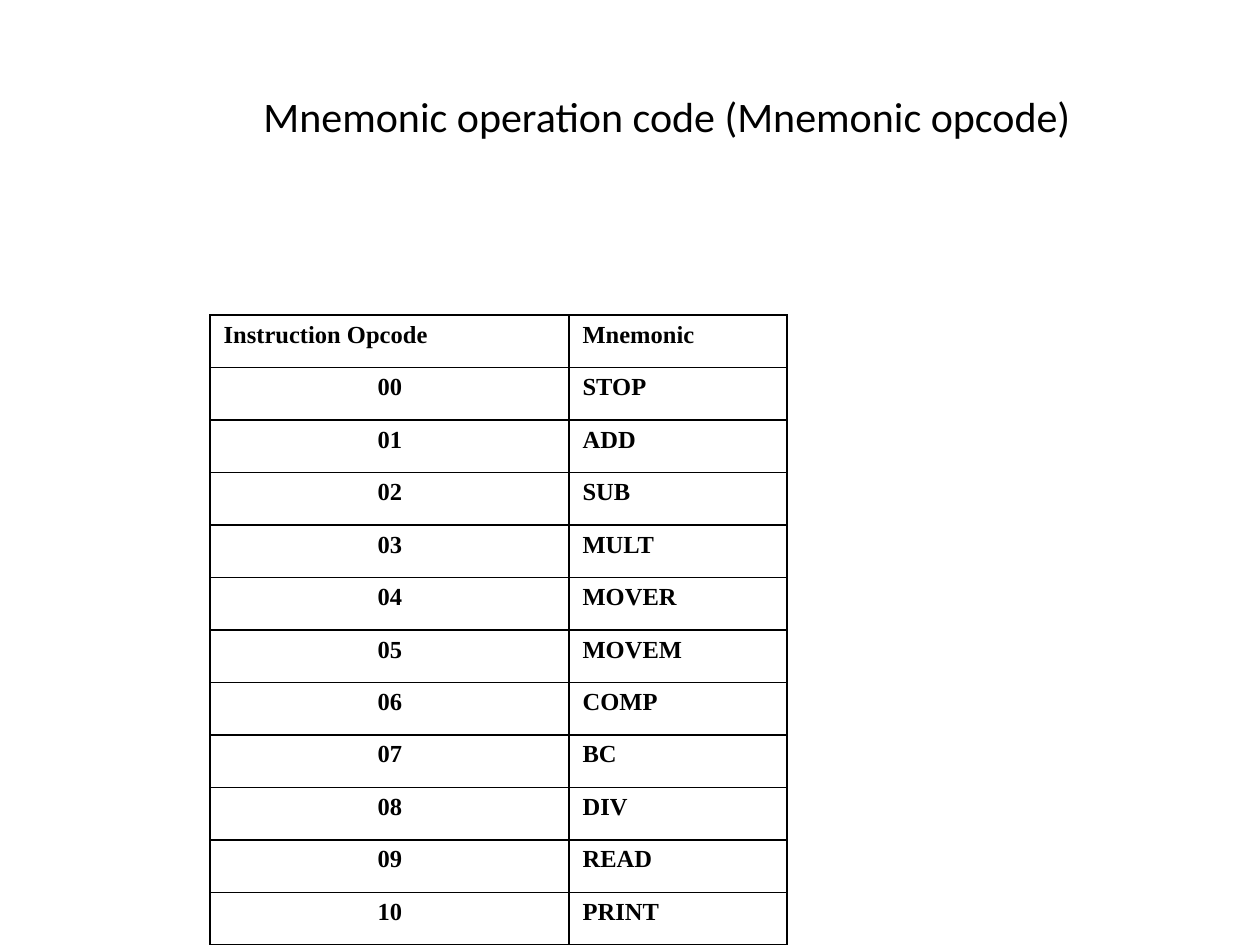
from lxml import etree
from pptx import Presentation
from pptx import util as u
from pptx.dml import color
from pptx.enum import text
from pptx.oxml import ns

PX = 914400 / 126
MNEMONICS = ["STOP", "ADD", "SUB", "MULT", "MOVER", "MOVEM",
             "COMP", "BC", "DIV", "READ", "PRINT"]


def px(length):
    return u.Emu(round(length * PX))


def rgb(value):
    return color.RGBColor.from_string(value)


class SlideBuilder:
    ink = "000000"
    paper = "FFFFFF"
    title_font = "Calibri"
    title_size = 24
    table_font = "Times New Roman"
    table_size = 14
    border_width = 1

    def __init__(self, slide):
        self.slide = slide

    def run(self, paragraph, content, font, size, bold=False):
        run = paragraph.add_run()
        run.text = content
        run.font.name = font
        run.font.size = u.Pt(size)
        run.font.bold = bold
        run.font.color.rgb = rgb(self.ink)

    def title(self, content, left, top, width, height):
        box = self.slide.shapes.add_textbox(px(left), px(top), px(width), px(height))
        frame = box.text_frame
        frame.word_wrap = True
        frame.vertical_anchor = text.MSO_ANCHOR.MIDDLE
        paragraph = frame.paragraphs[0]
        paragraph.alignment = text.PP_ALIGN.CENTER
        self.run(paragraph, content, self.title_font, self.title_size)
        paragraph.add_line_break()
        size = str(self.title_size * 100)
        line_break = paragraph._p.find(ns.qn("a:br"))
        etree.SubElement(line_break, ns.qn("a:rPr"), sz=size)
        etree.SubElement(paragraph._p, ns.qn("a:endParaRPr"), sz=size)

    def borders(self, cell):
        properties = cell._tc.get_or_add_tcPr()
        for side in ("lnL", "lnR", "lnT", "lnB"):
            line = etree.SubElement(properties, ns.qn(f"a:{side}"),
                                    w=str(u.Pt(self.border_width)))
            fill = etree.SubElement(line, ns.qn("a:solidFill"))
            etree.SubElement(fill, ns.qn("a:srgbClr"), val=self.ink)

    def cell(self, cell, content, centered):
        self.borders(cell)
        cell.fill.solid()
        cell.fill.fore_color.rgb = rgb(self.paper)
        paragraph = cell.text_frame.paragraphs[0]
        paragraph.alignment = text.PP_ALIGN.CENTER if centered else text.PP_ALIGN.LEFT
        properties = paragraph._p.get_or_add_pPr()
        properties.set("marL", str(px(48)))
        properties.set("indent", str(px(-47)))
        self.run(paragraph, content, self.table_font, self.table_size, bold=True)

    def table(self, rows, left, top, widths, height):
        frame = self.slide.shapes.add_table(
            len(rows), len(widths), px(left), px(top), px(sum(widths)), px(height))
        table = frame.table
        table.first_row = False
        table.horz_banding = False
        for column, width in zip(table.columns, widths):
            column.width = px(width)
        for row_index, row in enumerate(rows):
            for column_index, content in enumerate(row):
                centered = row_index > 0 and column_index == 0
                self.cell(table.cell(row_index, column_index), content, centered)


def main():
    presentation = Presentation()
    presentation.slide_width = px(1260)
    presentation.slide_height = px(945)
    builder = SlideBuilder(presentation.slides.add_slide(presentation.slide_layouts[6]))
    builder.title("Mnemonic operation code (Mnemonic opcode)", 147, 42, 1040, 198)
    rows = [("Instruction Opcode", "Mnemonic")]
    rows += [(f"{opcode:02}", mnemonic) for opcode, mnemonic in enumerate(MNEMONICS)]
    builder.table(rows, 210, 315, [359, 218], 630)
    presentation.save("out.pptx")


if __name__ == "__main__":
    main()
